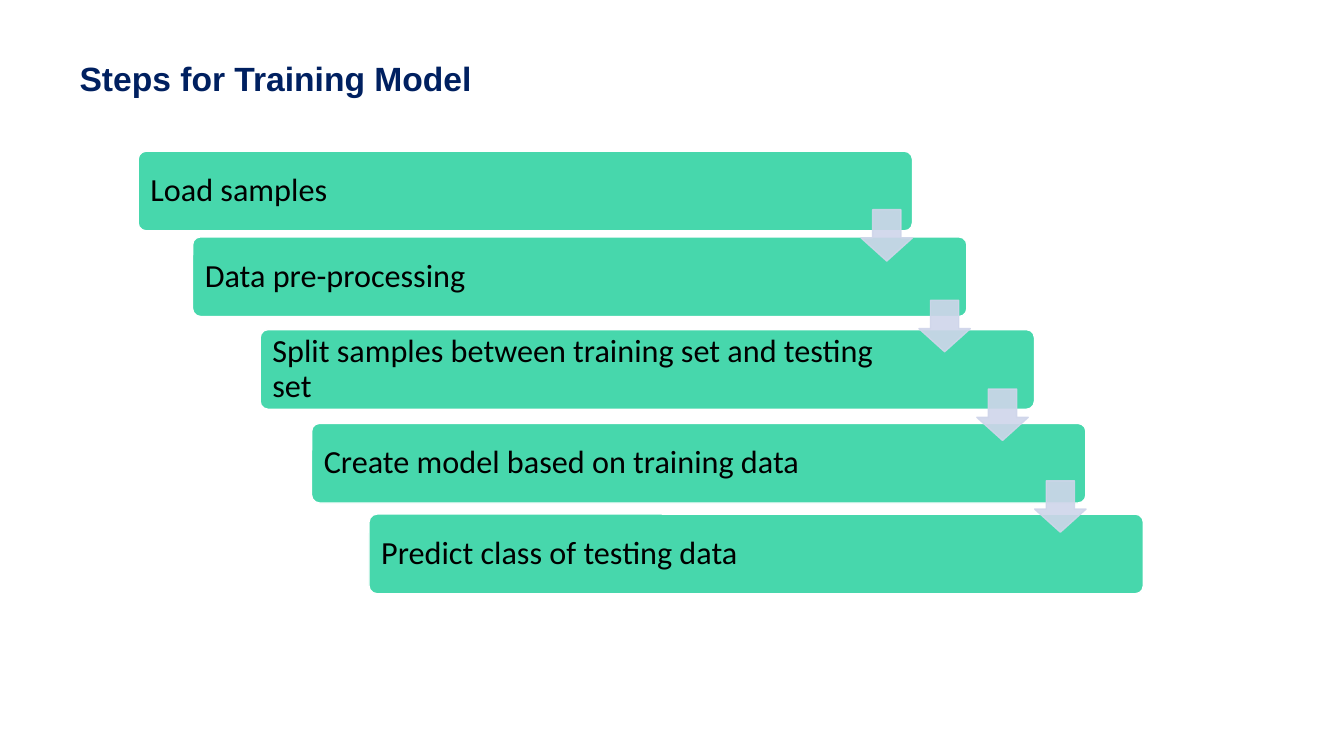
from dataclasses import dataclass

from lxml import etree
from pptx import Presentation
from pptx.dml.color import RGBColor
from pptx.enum.shapes import MSO_SHAPE
from pptx.enum.text import MSO_ANCHOR, PP_ALIGN
from pptx.oxml.ns import qn
from pptx.util import Inches, Pt

ROUNDED_BAR = MSO_SHAPE.ROUNDED_RECTANGLE
DOWN_ARROW = MSO_SHAPE.DOWN_ARROW
MIDDLE = MSO_ANCHOR.MIDDLE
LEFT = PP_ALIGN.LEFT


@dataclass(frozen=True)
class Theme:
    navy: RGBColor = RGBColor(0x00, 0x20, 0x60)
    green: RGBColor = RGBColor(0x47, 0xD7, 0xAC)
    lavender: RGBColor = RGBColor(0xCF, 0xD5, 0xEA)
    white: RGBColor = RGBColor(0xFF, 0xFF, 0xFF)
    black: RGBColor = RGBColor(0x00, 0x00, 0x00)
    title_font: str = "Arial"
    step_font: str = "Calibri"
    title_size: int = 24
    step_size: int = 23
    line_width: int = 1
    arrow_opacity: int = 90


THEME = Theme()

BAR_WIDTH, BAR_HEIGHT = 7.68, 0.79
ARROW_SIZE = 0.51
ARROW_LEFT, ARROW_STEP = 8.54, 0.574

# Left and top of each bar, with its text
STEPS = [
    (1.37, 1.5, "Load samples"),
    (1.91, 2.35, "Data pre-processing"),
    (2.58, 3.27, "Split samples between training set and testing set"),
    (3.09, 4.2, "Create model based on training data"),
    (3.66, 5.1, "Predict class of testing data"),
]
ARROW_TOPS = [2.08, 2.98, 3.86, 4.77]


def add_run(paragraph, text, font_name, size, color, bold=False):
    run = paragraph.add_run()
    run.text = text
    run.font.name = font_name
    run.font.size = Pt(size)
    run.font.color.rgb = color
    run.font.bold = bold


def add_title(slide, text):
    box = slide.shapes.add_textbox(Inches(0.69), Inches(0.53), Inches(9.68), Inches(0.49))
    box.text_frame.word_wrap = True
    add_run(box.text_frame.paragraphs[0], text, THEME.title_font,
            THEME.title_size, THEME.navy, bold=True)


def add_filled_shape(slide, kind, left, top, width, height, fill, line):
    shape = slide.shapes.add_shape(kind, Inches(left), Inches(top), Inches(width), Inches(height))
    shape.shadow.inherit = False
    shape.fill.solid()
    shape.fill.fore_color.rgb = fill
    shape.line.color.rgb = line
    shape.line.width = Pt(THEME.line_width)
    return shape


def add_step(slide, left, top, text):
    """Draw one bar, keeping its right end free of text for the arrow."""
    bar = add_filled_shape(slide, ROUNDED_BAR, left, top, BAR_WIDTH, BAR_HEIGHT,
                           THEME.green, THEME.white)
    bar.adjustments[0] = 0.1
    frame = bar.text_frame
    frame.word_wrap = True
    frame.vertical_anchor = MIDDLE
    frame.margin_left = frame.margin_top = frame.margin_bottom = Inches(0.1)
    frame.margin_right = Inches(1.19)
    paragraph = frame.paragraphs[0]
    paragraph.alignment = LEFT
    paragraph.line_spacing = 0.9
    add_run(paragraph, text, THEME.step_font, THEME.step_size, THEME.black)


def set_opacity(shape, percent):
    """Make the fill and the line of a shape partly transparent."""
    for color in shape.element.spPr.iter(qn("a:srgbClr")):
        etree.SubElement(color, qn("a:alpha"), val=str(percent * 1000))


def add_arrow(slide, left, top):
    arrow = add_filled_shape(slide, DOWN_ARROW, left, top, ARROW_SIZE, ARROW_SIZE,
                             THEME.lavender, THEME.lavender)
    arrow.adjustments[0] = 0.55
    arrow.adjustments[1] = 0.45
    set_opacity(arrow, THEME.arrow_opacity)


def main():
    presentation = Presentation()
    presentation.slide_width = Inches(13.33)
    presentation.slide_height = Inches(7.5)
    slide = presentation.slides.add_slide(presentation.slide_layouts[6])

    add_title(slide, "Steps for Training Model")
    for left, top, text in STEPS:
        add_step(slide, left, top, text)
    for index, top in enumerate(ARROW_TOPS):
        add_arrow(slide, ARROW_LEFT + index * ARROW_STEP, top)

    presentation.save("out.pptx")


if __name__ == "__main__":
    main()
